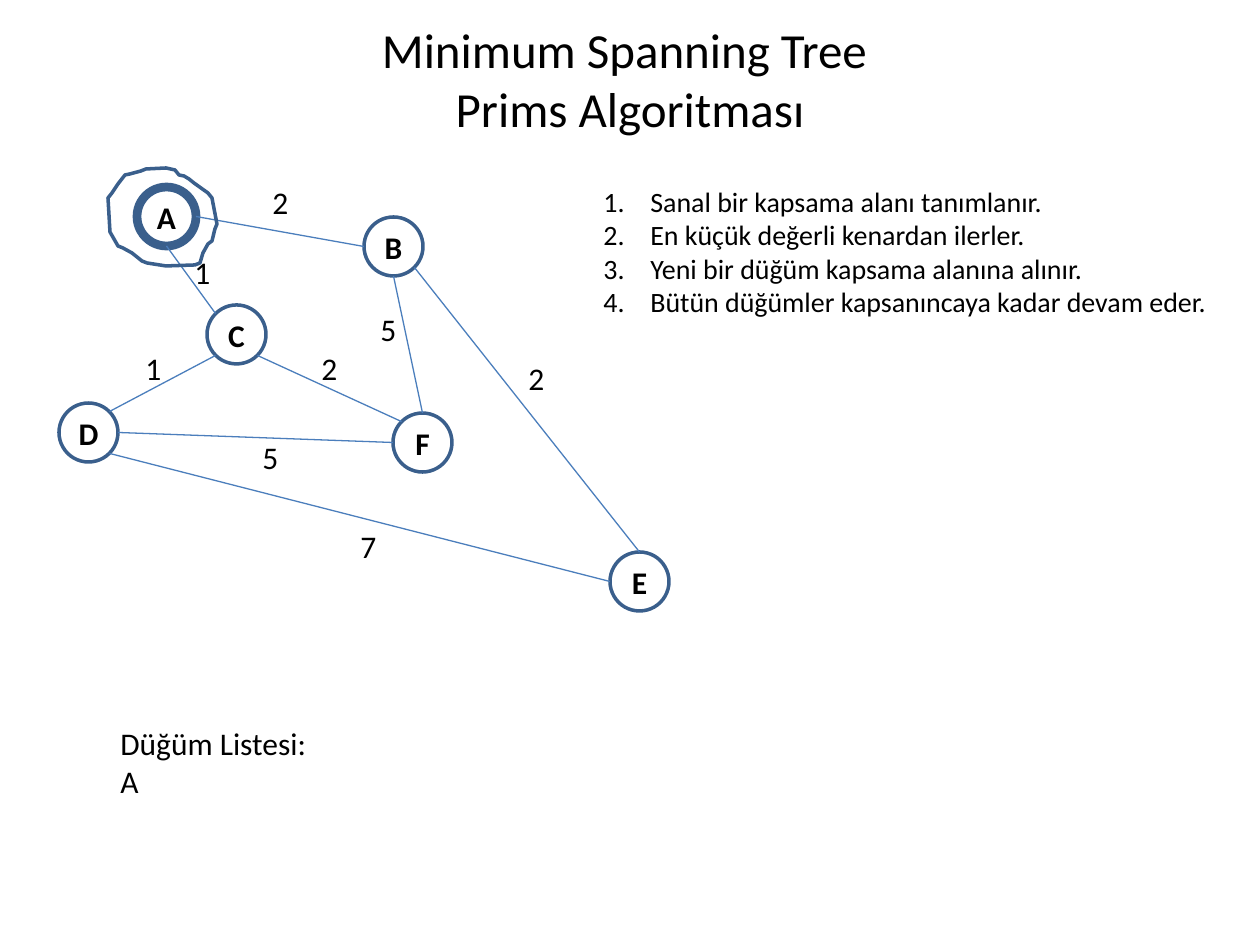
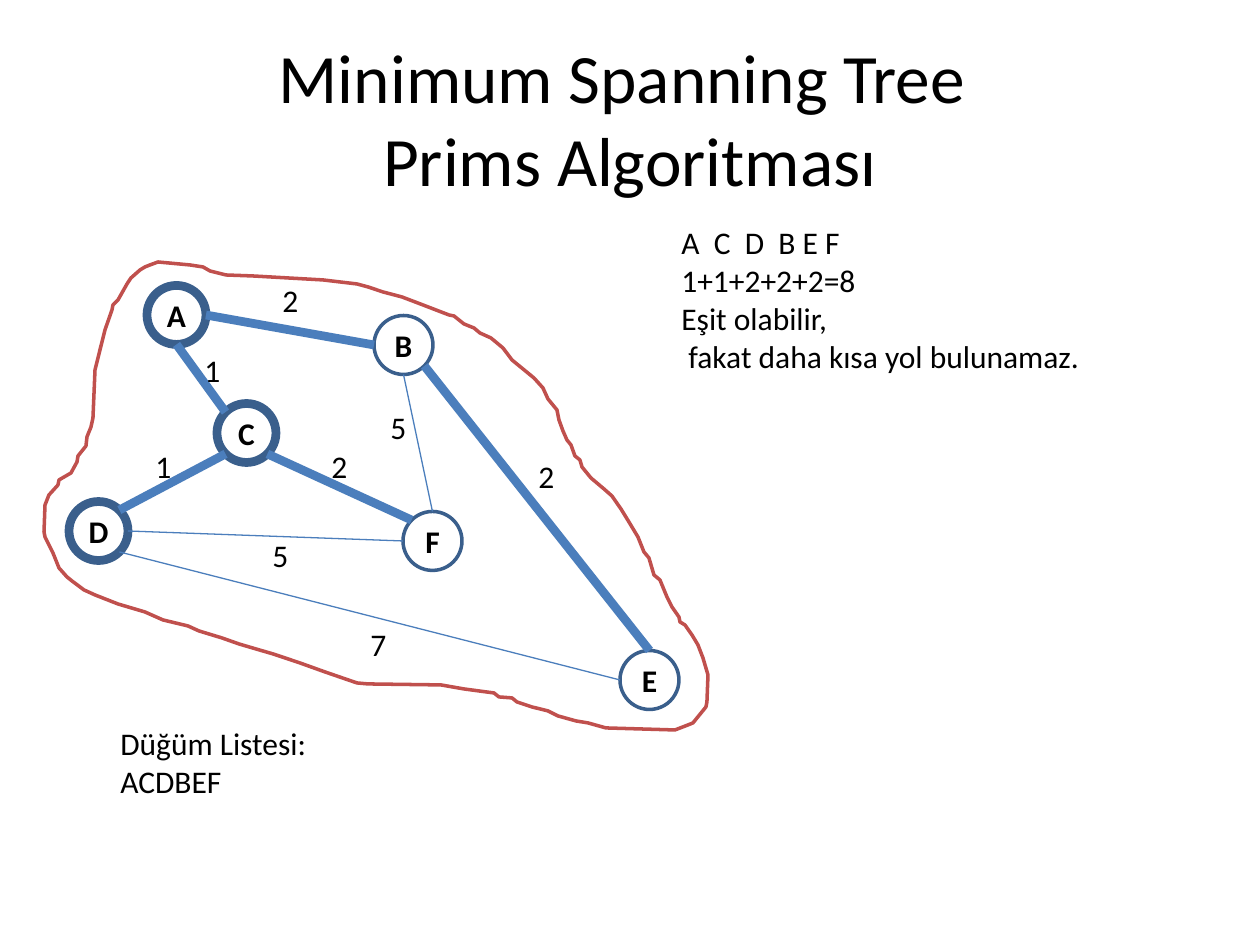
from dataclasses import dataclass

from lxml import etree
from pptx import Presentation
from pptx.dml.color import RGBColor
from pptx.enum.shapes import MSO_CONNECTOR, MSO_SHAPE
from pptx.enum.text import MSO_ANCHOR, PP_ALIGN
from pptx.oxml.ns import qn
from pptx.util import Emu, Pt

OVAL = MSO_SHAPE.OVAL
STRAIGHT = MSO_CONNECTOR.STRAIGHT
MIDDLE, TOP = MSO_ANCHOR.MIDDLE, MSO_ANCHOR.TOP
CENTER, LEFT = PP_ALIGN.CENTER, PP_ALIGN.LEFT
SCALE = 914400 / 126


@dataclass(frozen=True)
class Theme:
    font: str = "Calibri"
    ink: RGBColor = RGBColor(0x00, 0x00, 0x00)
    node: RGBColor = RGBColor(0x3A, 0x5F, 0x8C)
    edge: RGBColor = RGBColor(0x4B, 0x7E, 0xBC)
    cover: RGBColor = RGBColor(0xC0, 0x50, 0x4D)
    body: float = 18
    steps: float = 16
    thin: float = 0.75
    outline: float = 2
    heavy: float = 5


theme = Theme()


def px(value):
    return Emu(round(value * SCALE))


def write(frame, paragraphs, size, align=LEFT, anchor=TOP, bold=False, inset=(0, 0), wrap=False):
    frame.word_wrap = wrap
    frame.vertical_anchor = anchor
    frame.margin_left = frame.margin_right = px(inset[0])
    frame.margin_top = frame.margin_bottom = px(inset[1])
    for index, lines in enumerate(paragraphs):
        paragraph = frame.paragraphs[0] if index == 0 else frame.add_paragraph()
        paragraph.alignment = align
        for number, line in enumerate(lines.split("\n")):
            if number:
                paragraph.add_line_break()
            run = paragraph.add_run()
            run.text = line
            run.font.name = theme.font
            run.font.size = Pt(size)
            run.font.bold = bold
            run.font.color.rgb = theme.ink


TITLE = "Minimum Spanning Tree \nPrims Algoritması"
INSET = (12.6, 6.3)
DIAMETER = 59
LABEL_SIZE = (49, 47)
NODES = {
    "A": (137, 187), "C": (207, 305), "F": (393, 413),
    "D": (59, 403), "B": (364, 217), "E": (610, 552),
}
SITES = {
    "top": (0, -1), "bottom": (0, 1), "left": (-1, 0), "right": (1, 0),
    "top left": (-0.71, -0.71), "top right": (0.71, -0.71),
    "bottom left": (-0.71, 0.71), "bottom right": (0.71, 0.71),
}
EDGES = [
    ("AB", "right", "left", "2", (256, 178)),
    ("DF", "right", "left", "5", (246, 433)),
    ("CF", "bottom right", "top left", "2", (305, 344)),
    ("DC", "top right", "bottom left", "1", (129, 344)),
    ("AC", "bottom", "top left", "1", (178, 248)),
    ("BE", "bottom right", "top", "2", (512, 354)),
    ("DE", "bottom right", "left", "7", (344, 522)),
    ("BF", "bottom", "top", "5", (364, 305)),
]
START_COVER = [
    (141, 171), (130, 174), (125, 175), (118, 184), (112, 193), (108, 198), (110, 232),
    (118, 246), (123, 248), (132, 253), (142, 261), (147, 263), (166, 266), (195, 265),
    (200, 263), (203, 253), (208, 244), (212, 241), (215, 229), (217, 224), (212, 198),
    (208, 193), (194, 183), (189, 179), (184, 176), (179, 175), (175, 170), (166, 168),
    (146, 169),
]
FULL_COVER = [
    (158, 262), (190, 265), (203, 267), (210, 271), (226, 275), (253, 276), (323, 280),
    (357, 284), (368, 287), (383, 292), (402, 297), (423, 305), (436, 310), (449, 315),
    (454, 316), (464, 324), (474, 328), (480, 333), (491, 338), (503, 348), (512, 360),
    (523, 369), (534, 378), (543, 388), (548, 399), (557, 410), (559, 420), (563, 431),
    (567, 440), (571, 445), (575, 456), (580, 460), (582, 467), (591, 478), (604, 489),
    (612, 496), (621, 509), (629, 522), (638, 537), (644, 552), (649, 558), (654, 575),
    (660, 580), (667, 597), (672, 607), (679, 617), (680, 622), (685, 625), (692, 635),
    (698, 645), (703, 658), (708, 675), (707, 702), (706, 707), (693, 723), (688, 725),
    (675, 730), (606, 728), (588, 723), (576, 721), (558, 716), (548, 711), (532, 707),
    (517, 702), (512, 698), (499, 697), (494, 693), (464, 689), (441, 685), (368, 684),
    (357, 683), (325, 672), (300, 663), (285, 658), (273, 654), (256, 649), (239, 644),
    (222, 638), (199, 631), (188, 626), (163, 620), (145, 612), (118, 604), (95, 595),
    (84, 590), (72, 581), (67, 577), (59, 568), (53, 553), (45, 537), (44, 532),
    (45, 505), (49, 495), (58, 485), (59, 480), (71, 473), (77, 462), (78, 456),
    (86, 446), (87, 437), (91, 427), (93, 418), (95, 370), (100, 350), (105, 330),
    (112, 310), (113, 305), (118, 300), (127, 284), (131, 278), (140, 270), (145, 267),
    (150, 265),
]
STAGES = [
    dict(
        title_size=28, title_height=81, shift=(0, 0), visited="A", tree=(),
        cover=START_COVER, cover_color=theme.node, order="A",
        notes=[
            "Sanal bir kapsama alanı tanımlanır.",
            "En küçük değerli kenardan ilerler.",
            "Yeni bir düğüm kapsama alanına alınır.",
            "Bütün düğümler kapsanıncaya kadar devam eder.",
        ],
        notes_box=(591, 178, 635, 149), notes_size=theme.steps, numbered=True,
    ),
    dict(
        title_size=39.6, title_height=158, shift=(10, 98.5), visited="ACD",
        tree=("AB", "CF", "DC", "AC", "BE"),
        cover=FULL_COVER, cover_color=theme.cover, order="ACDBEF",
        notes=[
            "A  C  D  B E F",
            "1+1+2+2+2=8",
            "Eşit olabilir,",
            " fakat daha kısa yol bulunamaz.",
        ],
        notes_box=(669, 217, 542, 165), notes_size=theme.body, numbered=False,
    ),
]

deck = Presentation()
deck.slide_width, deck.slide_height = px(1260), px(945)

for stage in STAGES:
    slide = deck.slides.add_slide(deck.slide_layouts[6])
    shift_x, shift_y = stage["shift"]

    title = slide.shapes.add_textbox(px(63), px(38), px(1134), px(stage["title_height"]))
    write(title.text_frame, [TITLE], stage["title_size"], CENTER, MIDDLE, inset=INSET, wrap=True)

    graph = slide.shapes.add_group_shape().shapes
    for letter, (x, y) in NODES.items():
        node = graph.add_shape(OVAL, px(x + shift_x), px(y + shift_y), px(DIAMETER), px(DIAMETER))
        node.shadow.inherit = False
        node.fill.background()
        node.line.color.rgb = theme.node
        node.line.width = Pt(theme.heavy if letter in stage["visited"] else theme.outline)
        write(node.text_frame, [letter], theme.body, CENTER, MIDDLE, bold=True)

    for pair, start_site, end_site, weight, label_at in EDGES:
        ends = []
        for letter, site in zip(pair, (start_site, end_site)):
            for corner, direction, offset in zip(NODES[letter], SITES[site], stage["shift"]):
                ends.append(px(corner + offset + DIAMETER / 2 * (1 + direction)))
        edge = graph.add_connector(STRAIGHT, *ends)
        edge.line.color.rgb = theme.edge
        edge.line.width = Pt(theme.heavy if pair in stage["tree"] else theme.thin)
        etree.SubElement(edge._element.spPr, qn("a:effectLst"))

    for pair, start_site, end_site, weight, (x, y) in EDGES:
        label = graph.add_textbox(px(x + shift_x), px(y + shift_y), *map(px, LABEL_SIZE))
        write(label.text_frame, [weight], theme.body, CENTER, MIDDLE)

    outline = slide.shapes.build_freeform(*stage["cover"][0], scale=SCALE)
    outline.add_line_segments(stage["cover"][1:], close=True)
    cover = outline.convert_to_shape()
    cover.shadow.inherit = False
    cover.fill.background()
    cover.line.color.rgb = stage["cover_color"]
    cover.line.width = Pt(theme.outline)

    notes = slide.shapes.add_textbox(*map(px, stage["notes_box"]))
    write(notes.text_frame, stage["notes"], stage["notes_size"], inset=INSET,
          wrap=not stage["numbered"])
    if stage["numbered"]:
        for paragraph in notes.text_frame.paragraphs:
            properties = paragraph._p.get_or_add_pPr()
            properties.set("marL", str(px(47)))
            properties.set("indent", str(-px(47)))
            etree.SubElement(properties, qn("a:buAutoNum"), type="arabicPeriod")

    node_list = slide.shapes.add_textbox(px(108), px(718), px(214), px(89))
    write(node_list.text_frame, ["Düğüm Listesi:", stage["order"]], theme.body, inset=INSET)

deck.save("out.pptx")
